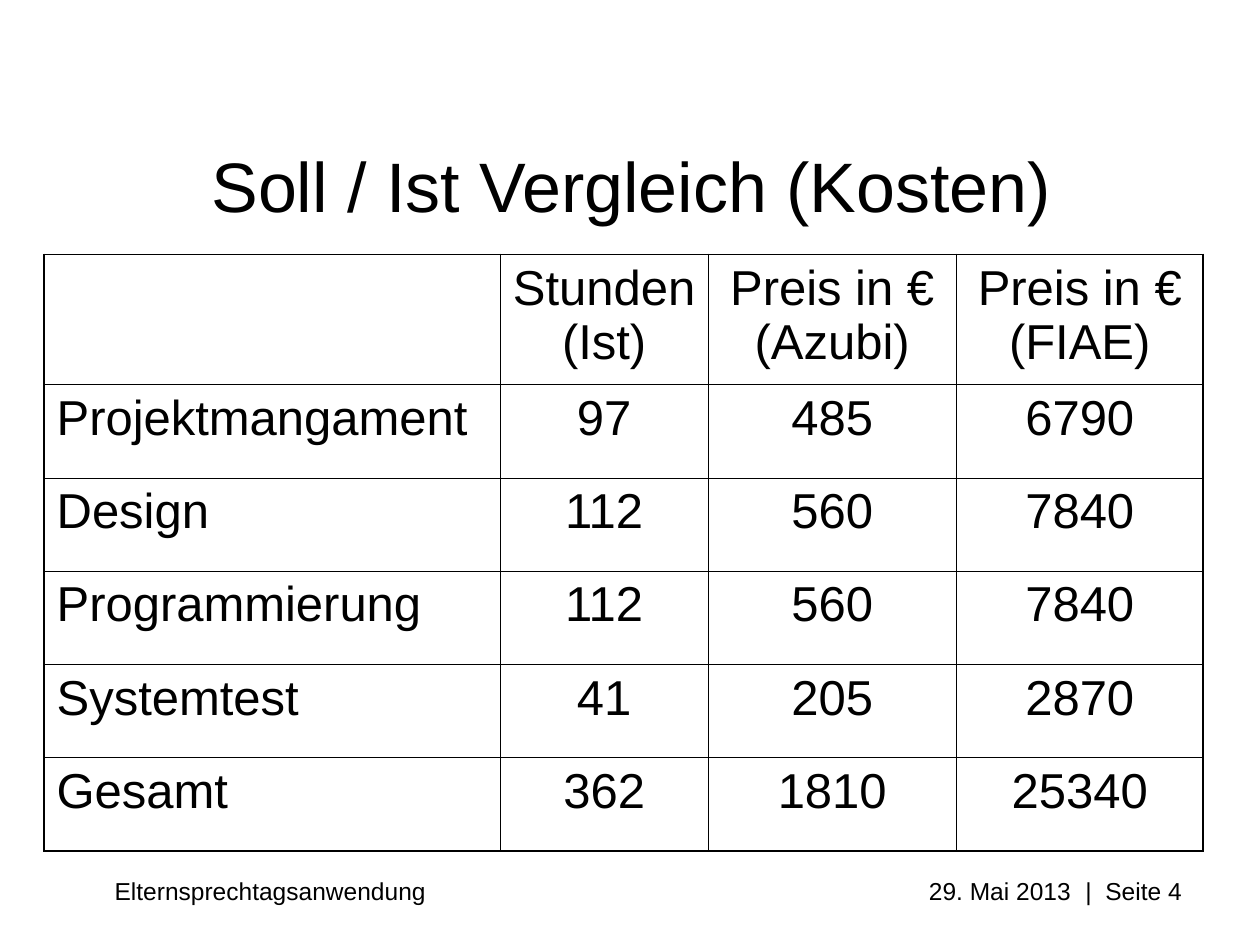
import dataclasses

import pptx
import pptx.dml.color
import pptx.enum.text
import pptx.oxml.ns
import pptx.util
from lxml import etree

Inches = pptx.util.Inches
Align = pptx.enum.text.PP_ALIGN
Anchor = pptx.enum.text.MSO_ANCHOR
qn = pptx.oxml.ns.qn

FONT = "Arial"
BLACK = "000000"
OUTER_LINE, INNER_LINE = 1.08, 0.45


@dataclasses.dataclass
class CostRow:
    label: str
    hours: str
    trainee_price: str
    developer_price: str
    height: float = 0.74


COLUMN_WIDTHS = [3.62, 1.65, 1.97, 1.96]
COST_ROWS = [
    CostRow("", "Stunden\n(Ist)", "Preis in € (Azubi)", "Preis in € (FIAE)", 1.03),
    CostRow("Projektmangament", "97", "485", "6790"),
    CostRow("Design", "112", "560", "7840"),
    CostRow("Programmierung", "112", "560", "7840"),
    CostRow("Systemtest", "41", "205", "2870"),
    CostRow("Gesamt", "362", "1810", "25340"),
]
# Footer tab stops: date, separator, page number
FOOTER_TABS = [(7.59, "r"), (7.73, "ctr"), (8.47, "r")]


def color(value: str) -> pptx.dml.color.RGBColor:
    return pptx.dml.color.RGBColor.from_string(value)


def write(para, text: str, size: float, align) -> None:
    para.alignment = align
    for index, line in enumerate(text.split("\n")):
        if index:
            para.add_line_break()
        span = para.add_run()
        span.text = line
        span.font.name = FONT
        span.font.size = pptx.util.Pt(size)
        span.font.color.rgb = color(BLACK)


def add_box(page, left: float, top: float, width: float, height: float, anchor):
    box = page.shapes.add_textbox(
        Inches(left), Inches(top), Inches(width), Inches(height))
    box.text_frame.word_wrap = True
    box.text_frame.vertical_anchor = anchor
    return box


def add_tabs(para, stops: list[tuple[float, str]]) -> None:
    tabs = etree.SubElement(para._p.get_or_add_pPr(), qn("a:tabLst"))
    for position, align in stops:
        etree.SubElement(tabs, qn("a:tab"), pos=str(Inches(position)), algn=align)


def add_border(cell, side: str, width: float) -> None:
    line = etree.SubElement(cell._tc.get_or_add_tcPr(), qn(f"a:ln{side}"),
                            w=str(pptx.util.Pt(width)))
    fill = etree.SubElement(line, qn("a:solidFill"))
    etree.SubElement(fill, qn("a:srgbClr"), val=BLACK)


def add_cost_table(page) -> None:
    last_row, last_column = len(COST_ROWS) - 1, len(COLUMN_WIDTHS) - 1
    table = page.shapes.add_table(
        len(COST_ROWS), len(COLUMN_WIDTHS), Inches(0.35), Inches(2.02),
        Inches(sum(COLUMN_WIDTHS)), Inches(sum(row.height for row in COST_ROWS))).table
    table.first_row = False
    table.horz_banding = False
    for column, width in zip(table.columns, COLUMN_WIDTHS):
        column.width = Inches(width)
    for r, row in enumerate(COST_ROWS):
        table.rows[r].height = Inches(row.height)
        texts = [row.label, row.hours, row.trainee_price, row.developer_price]
        for c, text in enumerate(texts):
            cell = table.cell(r, c)
            outer_sides = {"L": c == 0, "R": c == last_column,
                           "T": r == 0, "B": r == last_row}
            for side, is_outer in outer_sides.items():
                add_border(cell, side, OUTER_LINE if is_outer else INNER_LINE)
            cell.fill.background()
            if text:
                write(cell.text_frame.paragraphs[0], text, 28,
                      Align.CENTER if c else Align.LEFT)


def main() -> None:
    deck = pptx.Presentation()
    deck.slide_width, deck.slide_height = Inches(10), Inches(7.5)
    page = deck.slides.add_slide(deck.slide_layouts[6])

    # Footer
    footer = add_box(page, 0.51, 6.9, 8.98, 0.3, Anchor.TOP)
    footer.text_frame.margin_left = Inches(0.4)
    para = footer.text_frame.paragraphs[0]
    add_tabs(para, FOOTER_TABS)
    write(para, "Elternsprechtagsanwendung\t29. Mai 2013\t|\tSeite 4", 14, Align.LEFT)

    # Title
    title = add_box(page, 0.51, 1.07, 9, 0.79, Anchor.MIDDLE)
    write(title.text_frame.paragraphs[0], "Soll / Ist Vergleich (Kosten)", 40,
          Align.CENTER)

    # Cost comparison
    add_cost_table(page)

    deck.save("out.pptx")


if __name__ == "__main__":
    main()
